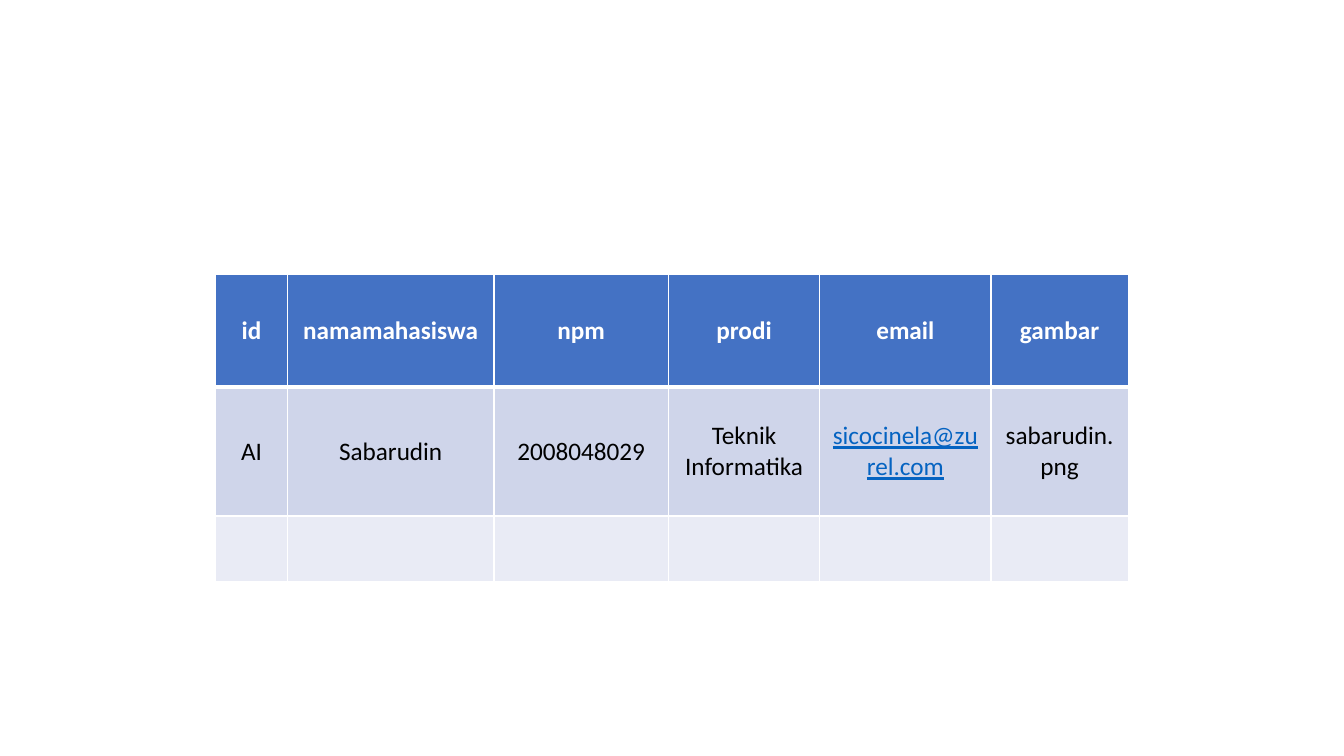
from pptx import Presentation
from pptx.dml.color import RGBColor
from pptx.enum.text import MSO_ANCHOR as Anchor, PP_ALIGN as Align
from pptx.oxml.xmlchemy import OxmlElement as Element
from pptx.util import Inches, Pt

COLUMN_WIDTHS = [0.71, 2.05, 1.73, 1.5, 1.7, 1.36]
ROW_HEIGHTS = [1.12, 1.28, 0.65]
STUDENTS = [
    ["id", "namamahasiswa", "npm", "prodi", "email", "gambar"],
    ["AI", "Sabarudin", "2008048029", "Teknik Informatika",
     "sicocinela@zurel.com", "sabarudin.png"],
    [""] * 6,
]
ROW_FILLS = ["4472C4", "CFD5EA", "E9EBF5"]
HEADER_FONT = {"bold": True, "underline": False}
BODY_FONT = {"bold": False, "underline": False}
EMAIL_FONT = {"bold": False, "underline": True}


def color(hex_code):
    return RGBColor.from_string(hex_code)


class StudentSlide:
    font_name = "Calibri"
    font_size = Pt(18)
    border_color = "FFFFFF"

    def __init__(self, slide):
        self.slide = slide

    def border(self, cell, side, points):
        """Draw one cell edge; side is L, R, T or B, called in that order."""
        line = Element(f"a:ln{side}")
        line.set("w", str(Pt(points)))
        fill = Element("a:solidFill")
        rgb = Element("a:srgbClr")
        rgb.set("val", self.border_color)
        fill.append(rgb)
        line.append(fill)
        cell._tc.get_or_add_tcPr().append(line)

    def text(self, cell, words, font_color, style):
        cell.vertical_anchor = Anchor.MIDDLE
        paragraph = cell.text_frame.paragraphs[0]
        paragraph.alignment = Align.CENTER
        paragraph.font.size = self.font_size
        if not words:
            return
        run = paragraph.add_run()
        run.text = words
        values = {"name": self.font_name, "size": self.font_size, **style}
        for key, value in values.items():
            setattr(run.font, key, value)
        run.font.color.rgb = color(font_color)

    def table(self, left, top, widths, heights, rows):
        table = self.slide.shapes.add_table(
            len(heights), len(widths), Inches(left), Inches(top),
            Inches(sum(widths)), Inches(sum(heights))).table
        for column, width in zip(table.columns, widths):
            column.width = Inches(width)
        for row, height in zip(table.rows, heights):
            row.height = Inches(height)
        for r, row in enumerate(rows):
            for c, words in enumerate(row):
                cell = table.cell(r, c)
                edges = {"L": 1, "R": 1, "T": 3 if r == 1 else 1,
                         "B": 3 if r == 0 else 1}
                for side, points in edges.items():
                    self.border(cell, side, points)
                cell.fill.solid()
                cell.fill.fore_color.rgb = color(ROW_FILLS[r])
                if r == 0:
                    self.text(cell, words, "FFFFFF", HEADER_FONT)
                elif "@" in words:
                    self.text(cell, words, "0563C1", EMAIL_FONT)
                else:
                    self.text(cell, words, "000000", BODY_FONT)


def main():
    deck = Presentation()
    deck.slide_width, deck.slide_height = Inches(13.33), Inches(7.5)
    page = StudentSlide(deck.slides.add_slide(deck.slide_layouts[6]))
    page.table(2.14, 2.72, COLUMN_WIDTHS, ROW_HEIGHTS, STUDENTS)
    deck.save("out.pptx")


if __name__ == "__main__":
    main()
